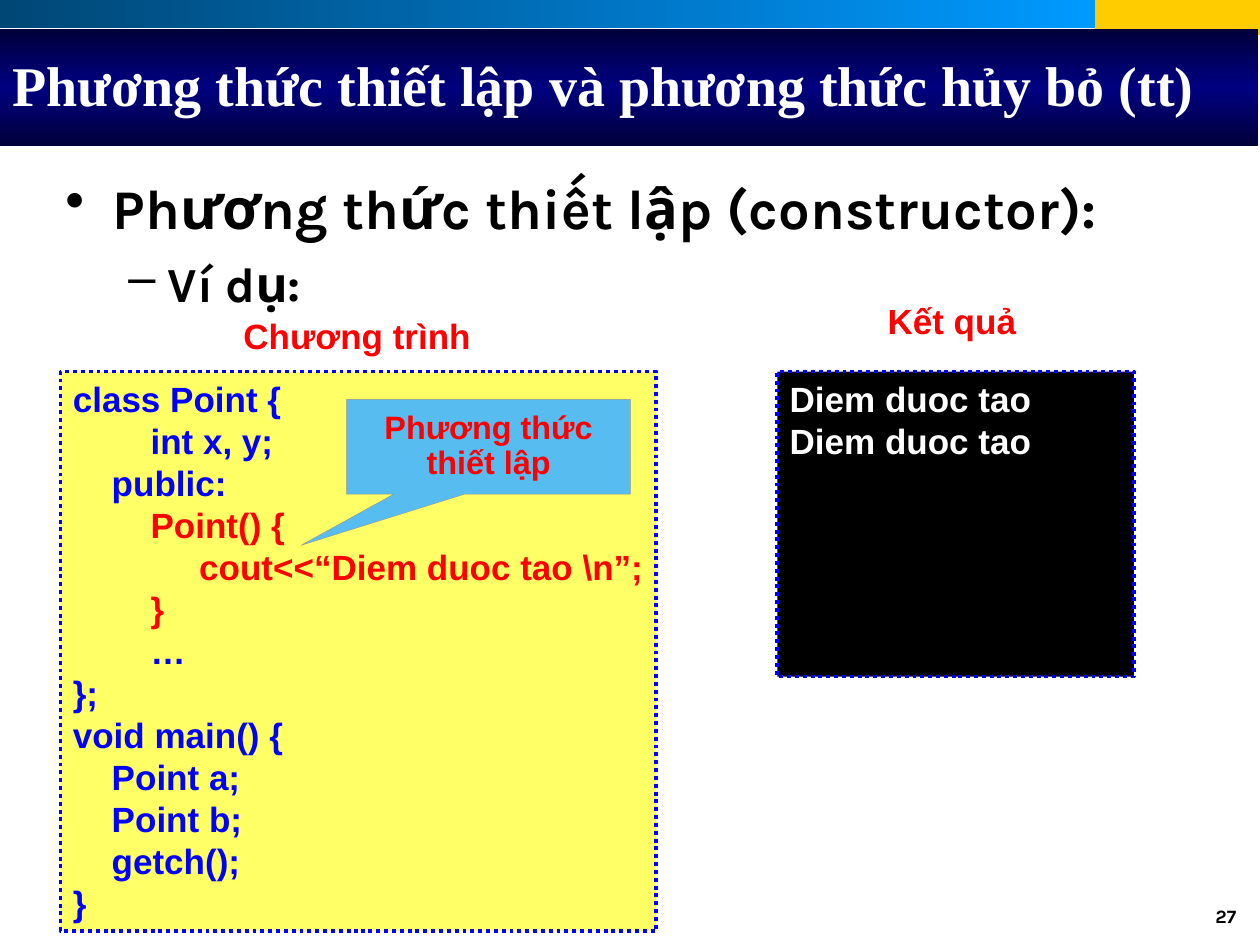
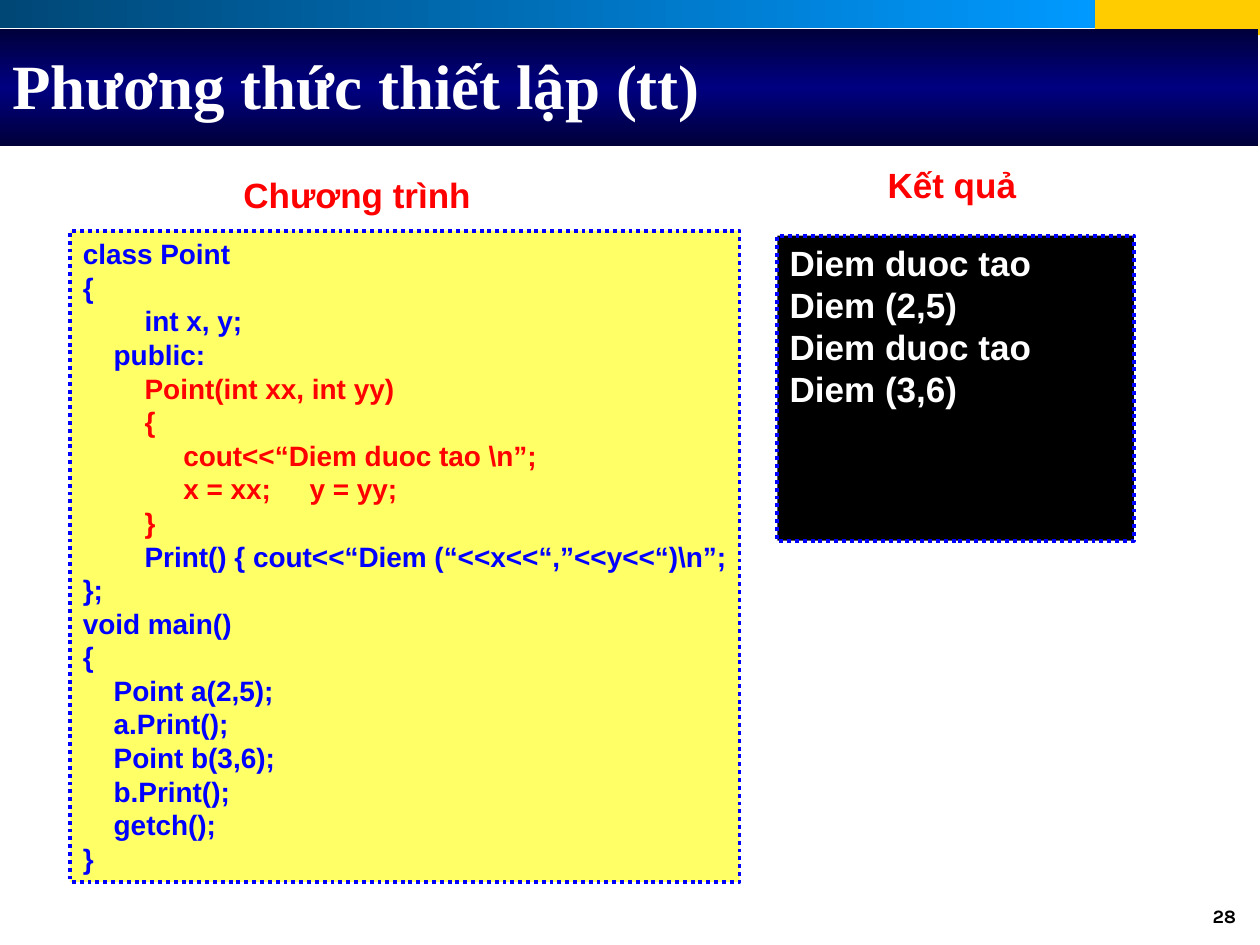
"""Builds two slides on C++ constructors, each with a program and its output."""
from copy import deepcopy

from lxml import etree
from pptx import Presentation
from pptx.dml.color import RGBColor
from pptx.enum.dml import MSO_LINE
from pptx.enum.shapes import MSO_SHAPE
from pptx.enum.text import MSO_ANCHOR, PP_ALIGN
from pptx.oxml.ns import qn
from pptx.util import Cm, Pt

RECTANGLE, CALLOUT = MSO_SHAPE.RECTANGLE, MSO_SHAPE.RECTANGULAR_CALLOUT
DOTTED = MSO_LINE.ROUND_DOT
TOP, MIDDLE = MSO_ANCHOR.TOP, MSO_ANCHOR.MIDDLE
LEFT, CENTER, RIGHT = PP_ALIGN.LEFT, PP_ALIGN.CENTER, PP_ALIGN.RIGHT
WHITE, BLACK, RED, BLUE = "FFFFFF", "000000", "FF0000", "0000FF"
YELLOW, GOLD, SKY, GREY = "FFFF66", "FFCC00", "57BCEF", "969696"
TOP_BAND = ["004776", "0099FF"]
TITLE_BAND = ["00003B", "000080", "00003B"]
TITLE_FONT, BODY_FONT, CODE_FONT = "Times New Roman", "Karla", "Arial"


def add_box(slide, place, fills, angle=0, kind=RECTANGLE, edge=None, weight=2.25):
    """Add a shape with a solid fill, or a gradient when several fills are given."""
    box = slide.shapes.add_shape(kind, *[Cm(length) for length in place])
    box.shadow.inherit = False
    if len(fills) == 1:
        box.fill.solid()
        box.fill.fore_color.rgb = RGBColor.from_string(fills[0])
    else:
        box.fill.gradient()
        box.fill.gradient_angle = angle
        stops = box._element.spPr.find(".//" + qn("a:gsLst"))
        for _ in fills[2:]:
            stops.append(deepcopy(stops[0]))
        for i, (stop, fill) in enumerate(zip(box.fill.gradient_stops, fills)):
            stop.color.rgb = RGBColor.from_string(fill)
            stop.position = i / (len(fills) - 1)
    if edge:
        box.line.color.rgb = RGBColor.from_string(edge)
        box.line.width = Pt(weight)
    else:
        box.line.fill.background()
    return box


def write(shape, lines, font, size, align=LEFT, anchor=TOP, wrap=True, spacing=None):
    """Fill a shape with bold lines, given as (text, colour) pairs."""
    frame = shape.text_frame
    frame.word_wrap = wrap
    frame.vertical_anchor = anchor
    for i, (text, colour) in enumerate(lines):
        paragraph = frame.add_paragraph() if i else frame.paragraphs[0]
        paragraph.alignment = align
        paragraph.line_spacing = spacing
        run = paragraph.add_run()
        run.text = text
        run.font.name = font
        run.font.size = Pt(size)
        run.font.bold = True
        run.font.color.rgb = RGBColor.from_string(colour)


pages = [
    {
        "number": "27",
        "title": "Phương thức thiết lập và phương thức hủy bỏ (tt)",
        "title_size": 32,
        "code_place": (1.22, 7.49, 12.01, 11.28),
        "code_size": 20,
        "code": r"""class Point {
        int x, y;
    public:
        Point() {
             cout<<“Diem duoc tao \n”;
        }
        …
};
void main() {
    Point a;
    Point b;
    getch();
}""",
        "constructor_lines": range(3, 6),
        "result_top": 7.49,
        "result": ["Diem duoc tao", "Diem duoc tao"],
    },
    {
        "number": "28",
        "title": "Phương thức thiết lập (tt)",
        "title_size": 36,
        "code_place": (1.42, 4.65, 13.49, 13.13),
        "code_size": 16,
        "code": r"""class Point
{
        int x, y;
    public:
        Point(int xx, int yy)
        {
             cout<<“Diem duoc tao \n”;
             x = xx;     y = yy;
        }
        Print() { cout<<“Diem (“<<x<<“,”<<y<<“)\n”;
};
void main()
{
    Point a(2,5);
    a.Print();
    Point b(3,6);
    b.Print();
    getch();
}""",
        "constructor_lines": range(4, 9),
        "result_top": 4.75,
        "result": ["Diem duoc tao", "Diem (2,5)", "Diem duoc tao", "Diem (3,6)"],
    },
]

deck = Presentation()
deck.slide_width, deck.slide_height = Cm(25.4), Cm(19.05)
slides = []

for page in pages:
    slide = deck.slides.add_slide(deck.slide_layouts[6])
    slides.append(slide)
    add_box(slide, (22.07, 0, 3.33, 0.71), [GOLD])
    add_box(slide, (0, 0, 22.07, 0.56), TOP_BAND)
    add_box(slide, (0, 0.58, 25.37, 2.36), TITLE_BAND, angle=90)

    number = slide.shapes.add_textbox(Cm(19.25), Cm(18.21), Cm(5.92), Cm(0.81))
    write(number, [(page["number"], BLACK)], BODY_FONT, 10.8, RIGHT, spacing=0.8)
    title = slide.shapes.add_textbox(Cm(0), Cm(0.43), Cm(25.2), Cm(2.54))
    write(title, [(page["title"], WHITE)], TITLE_FONT, page["title_size"], anchor=MIDDLE)

    program = add_box(slide, page["code_place"], [YELLOW], edge=BLUE)
    program.line.dash_style = DOTTED
    code = [(line, RED if i in page["constructor_lines"] else BLUE)
            for i, line in enumerate(page["code"].split("\n"))]
    write(program, code, CODE_FONT, page["code_size"], wrap=False)

    result = add_box(slide, (15.67, page["result_top"], 7.19, 6.15), [BLACK], edge=BLUE)
    result.line.dash_style = DOTTED
    write(result, [(line, WHITE) for line in page["result"]], CODE_FONT, 20, wrap=False)

    for heading, left, top in [("Chương trình", 2.97, page["code_place"][1] - 1.27),
                               ("Kết quả", 14.96, page["result_top"] - 1.57)]:
        caption = slide.shapes.add_textbox(Cm(left), Cm(top), Cm(8.46), Cm(1.12))
        write(caption, [(heading, RED)], CODE_FONT, 20, CENTER)

topic = slides[0].shapes.add_textbox(Cm(1.07), Cm(3.38), Cm(24.13), Cm(3.18))
write(topic, [("Phương thức thiết lập (constructor):", BLACK), ("Ví dụ:", BLACK)],
      BODY_FONT, 32)
heading, example = topic.text_frame.paragraphs
for paragraph, mark, margin, hang in [(heading, "•", 0.95, 0.95),
                                      (example, "–", 2.06, 0.79)]:
    properties = paragraph._p.get_or_add_pPr()
    properties.set("marL", str(Cm(margin)))
    properties.set("indent", str(-Cm(hang)))
    bullet_colour = etree.SubElement(properties, qn("a:buClr"))
    etree.SubElement(bullet_colour, qn("a:srgbClr"), val=BLACK)
    etree.SubElement(properties, qn("a:buChar"), char=mark)
example.level = 1
example.space_before = Pt(7)
example.runs[0].font.size = Pt(28)

callout = add_box(slides[0], (6.99, 8.05, 5.72, 1.91), [SKY], kind=CALLOUT,
                  edge=GREY, weight=0.25)
callout.adjustments[0], callout.adjustments[1] = -0.66, 1.04
write(callout, [("Phương thức thiết lập", RED)], CODE_FONT, 18.5, CENTER, MIDDLE,
      spacing=0.9)

deck.save("out.pptx")
